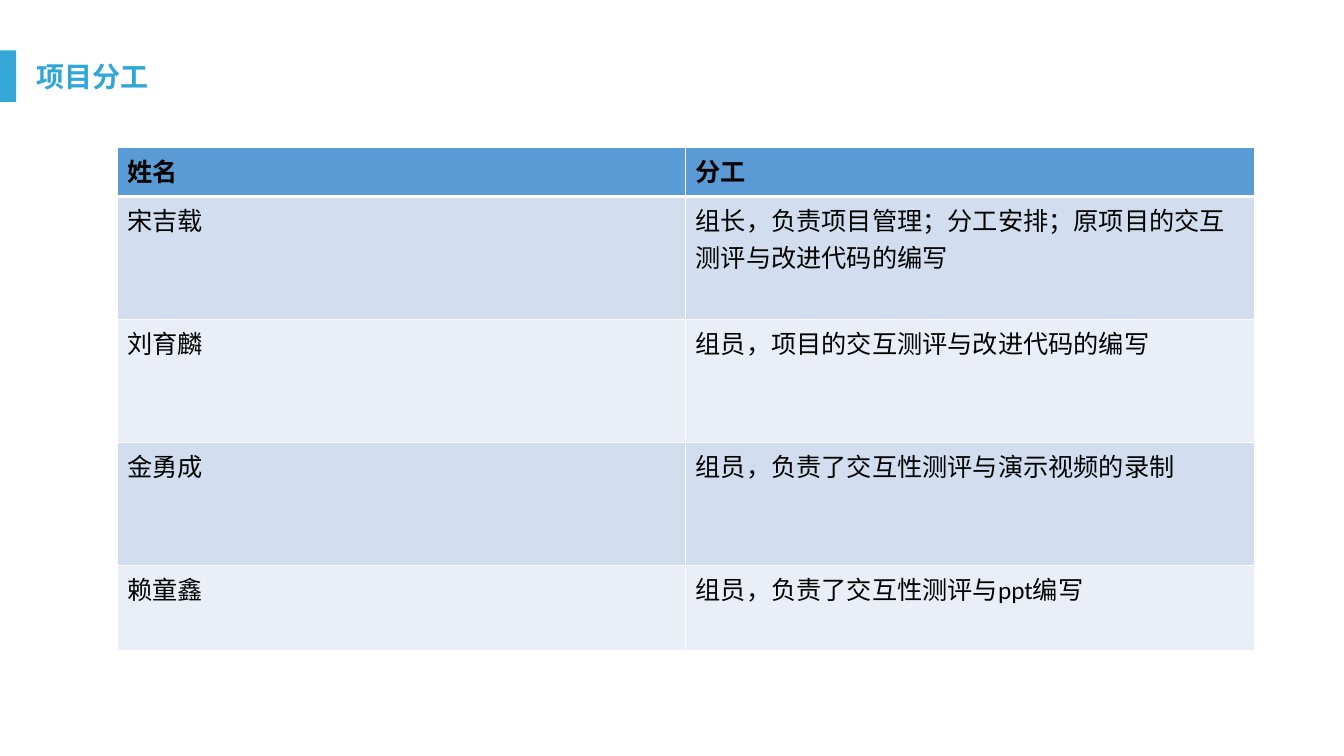
import pptx
import pptx.dml.color
import pptx.enum.shapes
import pptx.oxml.ns
import pptx.util
from lxml import etree
from pptx.util import Inches

LATIN_FONT = "Calibri"
CJK_FONT = "Noto Sans CJK SC"
HEADER_FILL = "5B9BD5"
BAND_FILLS = ("D2DEEF", "EAEFF7")
COLUMN_WIDTH = 5.64
ROW_HEIGHTS = (0.49, 1.22, 1.22, 1.22, 0.85)
ASSIGNMENTS = (
    ("姓名", "分工"),
    ("宋吉载", "组长，负责项目管理；分工安排；原项目的交互测评与改进代码的编写"),
    ("刘育麟", "组员，项目的交互测评与改进代码的编写"),
    ("金勇成", "组员，负责了交互性测评与演示视频的录制"),
    ("赖童鑫", "组员，负责了交互性测评与ppt编写"),
)


def color(hex_value):
    return pptx.dml.color.RGBColor.from_string(hex_value)


def set_fill(target, hex_value):
    target.fill.solid()
    target.fill.fore_color.rgb = color(hex_value)


def add_run(text_frame, text, size, font, hex_value, bold=False):
    run = text_frame.paragraphs[0].add_run()
    run.text = text
    run.font.size = pptx.util.Pt(size)
    run.font.name = font
    run.font.bold = bold
    run.font.color.rgb = color(hex_value)
    # East Asian glyphs take their own typeface
    east_asian = etree.SubElement(run.font._element, pptx.oxml.ns.qn("a:ea"))
    east_asian.set("typeface", CJK_FONT)


def set_borders(cell, top, bottom):
    properties = cell._tc.get_or_add_tcPr()
    for side, points in (("L", 1), ("R", 1), ("T", top), ("B", bottom)):
        line = etree.SubElement(properties, pptx.oxml.ns.qn(f"a:ln{side}"))
        line.set("w", str(pptx.util.Pt(points)))
        solid = etree.SubElement(line, pptx.oxml.ns.qn("a:solidFill"))
        etree.SubElement(solid, pptx.oxml.ns.qn("a:srgbClr")).set("val", "FFFFFF")


def add_heading(slide, text):
    # Accent bar at the slide edge
    accent = slide.shapes.add_shape(
        pptx.enum.shapes.MSO_SHAPE.RECTANGLE,
        Inches(0), Inches(0.5), Inches(0.16), Inches(0.51))
    accent.shadow.inherit = False
    accent.line.fill.background()
    set_fill(accent, "34A7D7")

    # Heading text
    heading = slide.shapes.add_textbox(
        Inches(0.26), Inches(0.54), Inches(3.38), Inches(0.44))
    heading.text_frame.word_wrap = True
    add_run(heading.text_frame, text, 20, CJK_FONT, "31A7D7", bold=True)


def add_assignment_table(slide):
    table = slide.shapes.add_table(
        len(ASSIGNMENTS), 2, Inches(1.16), Inches(1.46),
        Inches(2 * COLUMN_WIDTH), Inches(sum(ROW_HEIGHTS))).table
    for column in table.columns:
        column.width = Inches(COLUMN_WIDTH)
    for row_index, entries in enumerate(ASSIGNMENTS):
        table.rows[row_index].height = Inches(ROW_HEIGHTS[row_index])
        is_header = row_index == 0
        row_fill = HEADER_FILL if is_header else BAND_FILLS[(row_index - 1) % 2]
        for column_index, text in enumerate(entries):
            cell = table.cell(row_index, column_index)
            set_borders(cell, top=3 if row_index == 1 else 1,
                        bottom=3 if is_header else 1)
            set_fill(cell, row_fill)
            is_name = column_index == 0 and not is_header
            add_run(cell.text_frame, text, 18,
                    CJK_FONT if is_name else LATIN_FONT, "000000", is_header)


def main():
    presentation = pptx.Presentation()
    presentation.slide_width = Inches(13.33)
    presentation.slide_height = Inches(7.5)
    slide = presentation.slides.add_slide(presentation.slide_layouts[6])
    add_heading(slide, "项目分工")
    add_assignment_table(slide)
    presentation.save("out.pptx")


if __name__ == "__main__":
    main()
